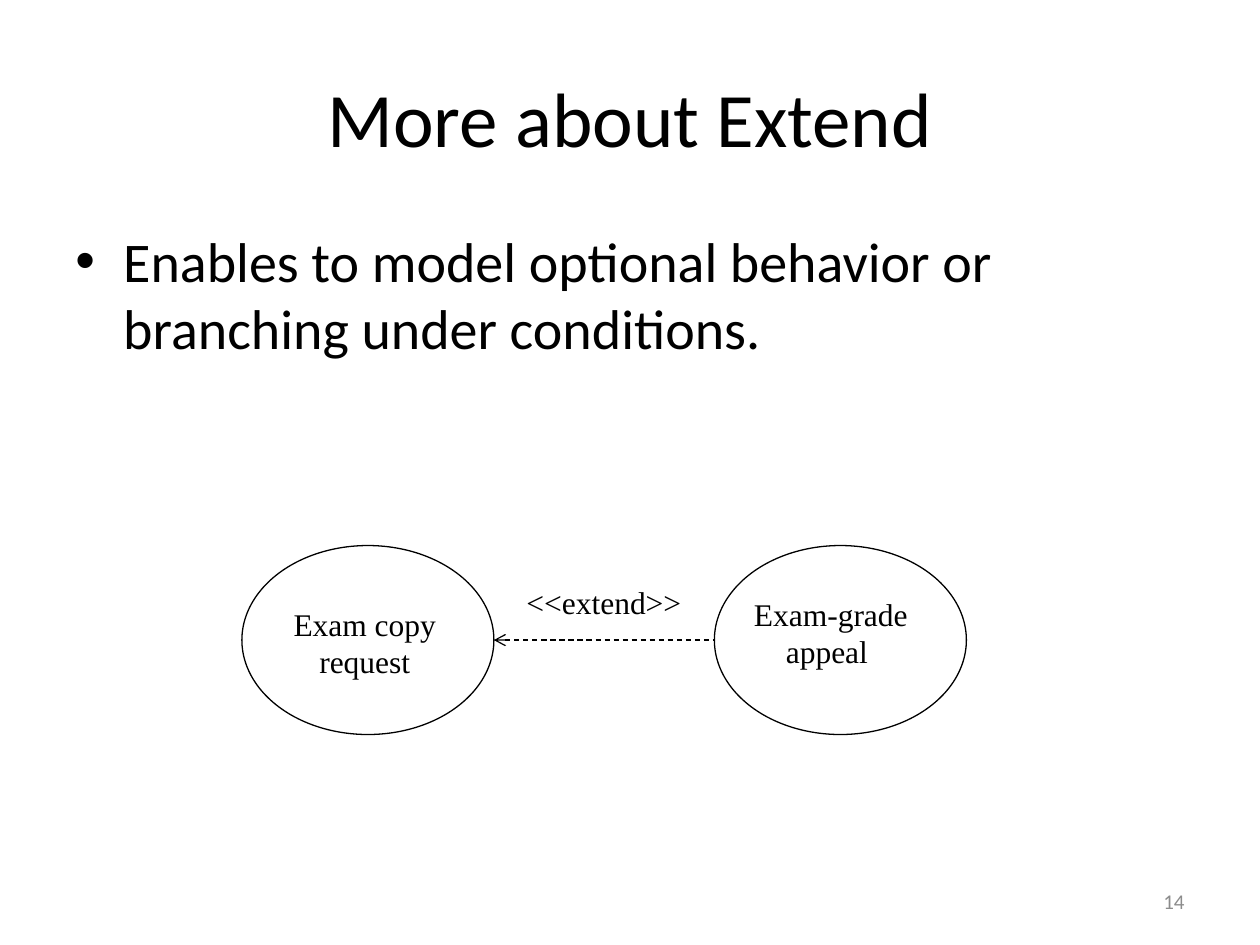
import pptx
import pptx.dml.color
import pptx.enum.dml
import pptx.enum.shapes
import pptx.enum.text
import pptx.oxml.ns
import pptx.util
from lxml import etree

Inches = pptx.util.Inches
Pt = pptx.util.Pt
ALIGN = pptx.enum.text.PP_ALIGN
ANCHOR = pptx.enum.text.MSO_ANCHOR

COLORS = {"ink": "000000", "number": "8C8C8C"}
HEADING_FONT, DIAGRAM_FONT = "Calibri", "Times New Roman"

TITLE = "More about Extend"
BULLET = "Enables to model optional behavior or branching under conditions."
SLIDE_NUMBER = "14"
USE_CASES = [
    {"left": 1.92, "text": "Exam copy request", "label": (2.17, 4.75, 1.45, 0.7)},
    {"left": 5.67, "text": "Exam-grade appeal ", "label": (5.83, 4.67, 1.53, 0.7)},
]
RELATION = "<<extend>>"
OVAL_TOP, OVAL_WIDTH, OVAL_HEIGHT = 4.33, 2, 1.5


def rgb(name):
    return pptx.dml.color.RGBColor.from_string(COLORS[name])


def add_element(parent, tag, **attributes):
    return etree.SubElement(parent, pptx.oxml.ns.qn(tag), attributes)


def add_text(slide, text, box, size, font=HEADING_FONT, color="ink",
             align=ALIGN.LEFT, anchor=ANCHOR.TOP, wrap=True):
    shape = slide.shapes.add_textbox(*map(Inches, box))
    frame = shape.text_frame
    frame.word_wrap = wrap
    frame.vertical_anchor = anchor
    paragraph = frame.paragraphs[0]
    paragraph.text = text
    paragraph.alignment = align
    paragraph.font.size = Pt(size)
    paragraph.font.name = font
    paragraph.font.color.rgb = rgb(color)
    return paragraph


def style_line(line):
    line.color.rgb = rgb("ink")
    line.width = Pt(0.75)


def add_bullet(paragraph, indent):
    paragraph.space_before = Pt(6.4)
    properties = paragraph._p.get_or_add_pPr()
    properties.set("marL", str(Inches(indent)))
    properties.set("indent", str(-Inches(indent)))
    add_element(properties, "a:buFont", typeface="Arial")
    add_element(properties, "a:buChar", char="•")


def add_use_case(slide, use_case):
    oval = slide.shapes.add_shape(
        pptx.enum.shapes.MSO_SHAPE.OVAL, Inches(use_case["left"]),
        Inches(OVAL_TOP), Inches(OVAL_WIDTH), Inches(OVAL_HEIGHT))
    oval.shadow.inherit = False
    oval.fill.background()
    style_line(oval.line)
    add_text(slide, use_case["text"], use_case["label"], 18, DIAGRAM_FONT,
             align=ALIGN.CENTER)


def add_extend_arrow(slide, start, end, y):
    arrow = slide.shapes.add_connector(
        pptx.enum.shapes.MSO_CONNECTOR.STRAIGHT,
        Inches(start), Inches(y), Inches(end), Inches(y))
    style_line(arrow.line)
    arrow.line.dash_style = pptx.enum.dml.MSO_LINE.DASH
    add_element(arrow.line._get_or_add_ln(), "a:headEnd", type="arrow")
    add_element(arrow._element.spPr, "a:effectLst")


def main():
    presentation = pptx.Presentation()
    presentation.slide_width = Inches(10)
    presentation.slide_height = Inches(7.5)
    slide = presentation.slides.add_slide(presentation.slide_layouts[6])

    add_text(slide, SLIDE_NUMBER, (7.17, 6.95, 2.33, 0.4), 12, color="number",
             align=ALIGN.RIGHT, anchor=ANCHOR.MIDDLE)
    add_text(slide, TITLE, (0.5, 0.3, 9, 1.25), 44,
             align=ALIGN.CENTER, anchor=ANCHOR.MIDDLE)
    add_bullet(add_text(slide, BULLET, (0.5, 1.75, 9, 4.95), 32), 0.38)

    for use_case in USE_CASES:
        add_use_case(slide, use_case)
    base, extension = USE_CASES
    add_extend_arrow(slide, base["left"] + OVAL_WIDTH, extension["left"],
                     OVAL_TOP + OVAL_HEIGHT / 2)
    add_text(slide, RELATION, (4.08, 4.58, 1.43, 0.4), 18, DIAGRAM_FONT, wrap=False)

    presentation.save("out.pptx")


if __name__ == "__main__":
    main()
